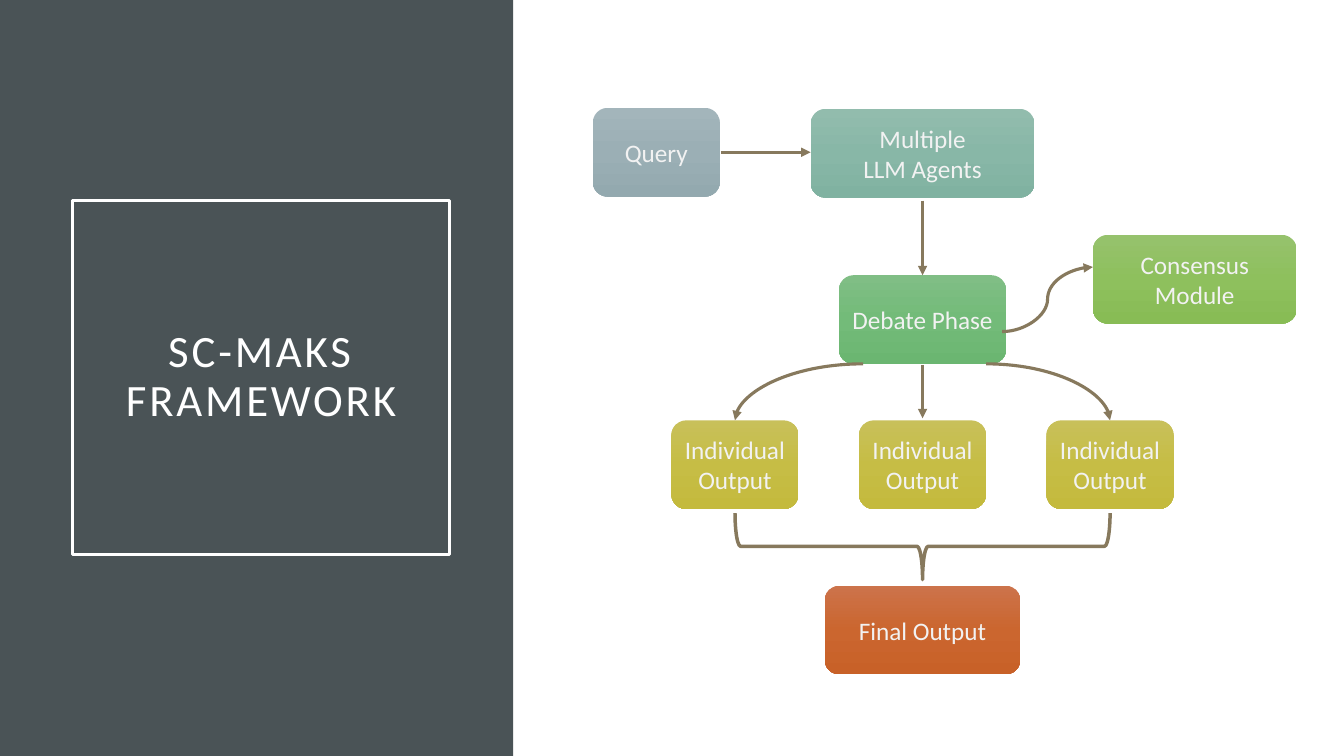
from copy import deepcopy

from lxml.etree import SubElement
from pptx import Presentation
from pptx.dml.color import RGBColor
from pptx.enum.shapes import MSO_CONNECTOR, MSO_SHAPE
from pptx.enum.text import MSO_ANCHOR, PP_ALIGN
from pptx.oxml.ns import qn
from pptx.util import Inches, Pt

BROWN = "87795D"
CENTER = 9.15
NODE_HEIGHT = 0.88
OUTPUT_CENTERS = [7.29, CENTER, 11.01]
GRAY = ["A3B5BB", "9BAFB5", "93A9AF"]
TEAL = ["92BCAD", "88B7A7", "80B2A1"]
GREEN = ["80BE85", "73BB79", "6BB671"]
LIME = ["96C26D", "8EC05D", "88BC55"]
YELLOW = ["C8C05A", "C6BD45", "C4BA3D"]
ORANGE = ["CC734B", "CB662F", "C86128"]


def color(value):
    return RGBColor.from_string(value)


def add_panel(page):
    panel = page.shapes.add_shape(MSO_SHAPE.RECTANGLE, 0, 0, Inches(5.09), Inches(7.5))
    panel.shadow.inherit = False
    panel.fill.solid()
    panel.fill.fore_color.rgb = color("4A5356")
    panel.line.fill.background()


def format_text(box, size, text_color, inset_x, inset_y):
    frame = box.text_frame
    frame.word_wrap = True
    frame.vertical_anchor = MSO_ANCHOR.MIDDLE
    frame.margin_left = frame.margin_right = Inches(inset_x)
    frame.margin_top = frame.margin_bottom = Inches(inset_y)
    for para in frame.paragraphs:
        para.alignment = PP_ALIGN.CENTER
        para.font.size = Pt(size)
        para.font.name = "Calibri"
        para.font.color.rgb = color(text_color)


def set_title(page, text):
    title = page.shapes.title
    page.shapes._spTree.append(title._element)
    title.left, title.top = Inches(0.72), Inches(1.99)
    title.width, title.height = Inches(3.74), Inches(3.51)
    title.line.color.rgb = color("FFFFFF")
    title.line.width = Pt(2.5)
    title.text_frame.text = text
    format_text(title, 32, "FFFFFF", 0.3, 0.2)
    para = title.text_frame.paragraphs[0]
    para.line_spacing = 0.9
    for span in para.runs:
        span.font._element.set("spc", "200")


def fill_gradient(shape, colors):
    shape.fill.gradient()
    shape.fill.gradient_angle = 270
    first = shape._element.spPr.find(".//" + qn("a:gs"))
    middle = deepcopy(first)
    middle.set("pos", "50000")
    first.addnext(middle)
    for stop, value in zip(shape.fill.gradient_stops, colors):
        stop.color.rgb = color(value)


def add_node(page, text, center, top, width, colors):
    node = page.shapes.add_shape(
        MSO_SHAPE.ROUNDED_RECTANGLE, Inches(center - width / 2), Inches(top),
        Inches(width), Inches(NODE_HEIGHT))
    node.shadow.inherit = False
    node.line.fill.background()
    fill_gradient(node, colors)
    node.text_frame.text = text
    format_text(node, 18, "F2F2F2", 0.09, 0.09)


def add_arrow(page, start, end, preset="line"):
    kind = MSO_CONNECTOR.STRAIGHT if preset == "line" else MSO_CONNECTOR.CURVE
    arrow = page.shapes.add_connector(kind, *map(Inches, start + end))
    arrow.line.color.rgb = color(BROWN)
    arrow.line.width = Pt(2.25)
    properties = arrow._element.spPr
    properties.find(qn("a:prstGeom")).set("prst", preset)
    SubElement(properties.find(qn("a:ln")), qn("a:tailEnd"), type="triangle")
    SubElement(properties, qn("a:effectLst"))


def add_brace(page):
    width, height = 0.66, OUTPUT_CENTERS[-1] - OUTPUT_CENTERS[0]
    brace = page.shapes.add_shape(
        MSO_SHAPE.RIGHT_BRACE, Inches(CENTER - width / 2), Inches(5.42 - height / 2),
        Inches(width), Inches(height))
    brace.rotation = 90
    brace.shadow.inherit = False
    brace.fill.background()
    brace.line.color.rgb = color(BROWN)
    brace.line.width = Pt(2.5)


def main():
    """Build the framework slide and save it."""
    deck = Presentation()
    deck.slide_width, deck.slide_height = Inches(13.33), Inches(7.5)
    page = deck.slides.add_slide(deck.slide_layouts[5])
    add_panel(page)
    set_title(page, "SC-MAKS\vFRAMEWORK")

    add_node(page, "Query", 6.51, 1.07, 1.26, GRAY)
    add_node(page, "Multiple\nLLM Agents", CENTER, 1.08, 2.22, TEAL)
    add_node(page, "Debate Phase", CENTER, 2.73, 1.66, GREEN)
    add_node(page, "Consensus Module", 11.85, 2.33, 2.02, LIME)
    for center in OUTPUT_CENTERS:
        add_node(page, "Individual Output", center, 4.17, 1.26, YELLOW)
    add_node(page, "Final Output", CENTER, 5.81, 1.94, ORANGE)

    add_arrow(page, (7.15, 1.51), (8.04, 1.51))
    add_arrow(page, (CENTER, 1.99), (CENTER, 2.73))
    add_arrow(page, (CENTER, 3.62), (CENTER, 4.15))
    add_arrow(page, (8.56, 3.61), (OUTPUT_CENTERS[0], 4.17), "curvedConnector2")
    add_arrow(page, (9.78, 3.61), (OUTPUT_CENTERS[-1], 4.17), "curvedConnector2")
    add_arrow(page, (9.94, 3.29), (10.84, 2.65), "curvedConnector3")
    add_brace(page)
    deck.save("out.pptx")


if __name__ == "__main__":
    main()
